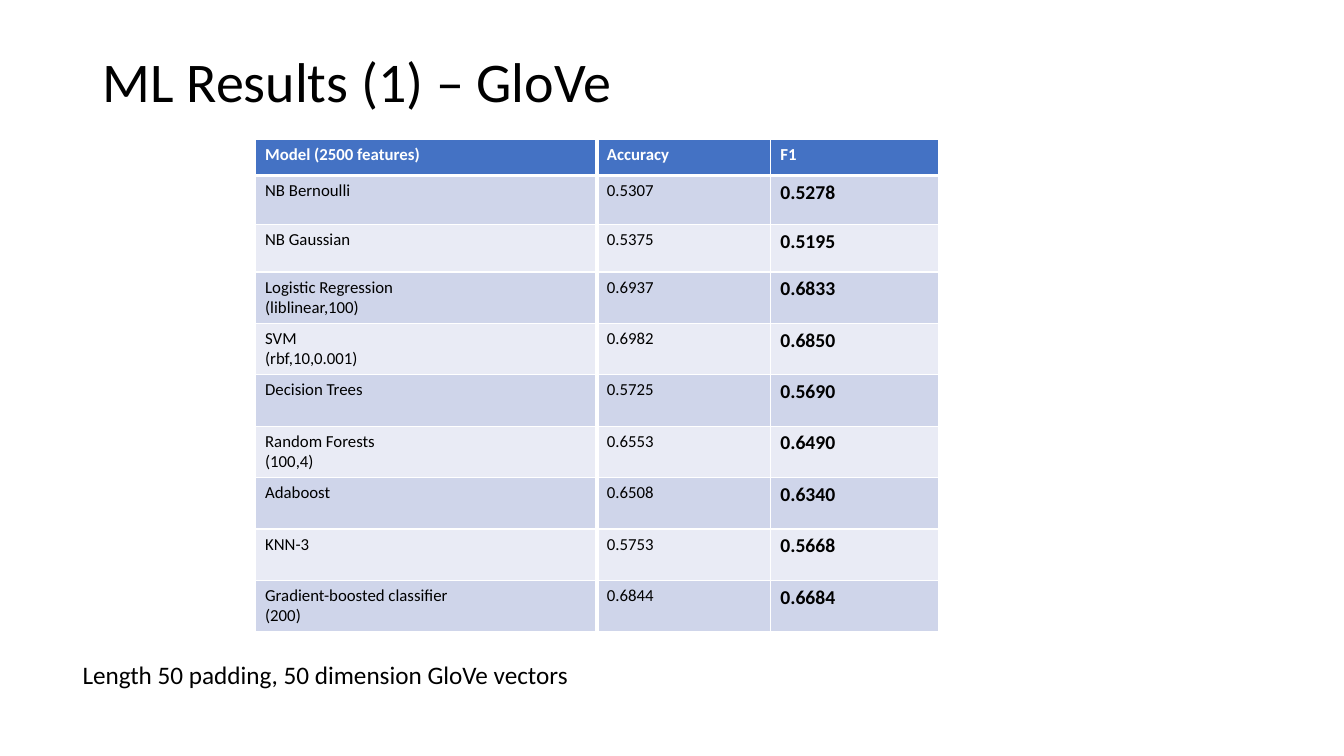
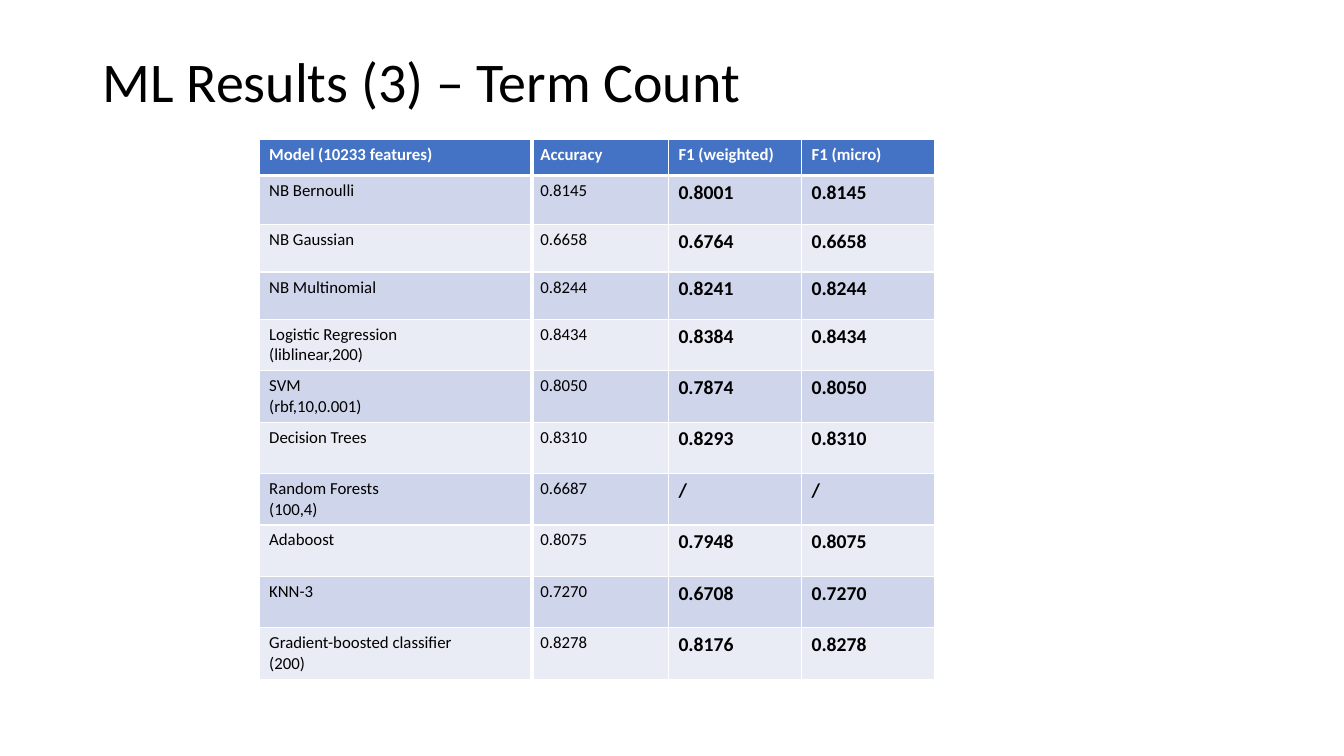
"""Build two slides that tabulate machine learning results."""
import dataclasses

import lxml.etree
import pptx
import pptx.dml.color
import pptx.enum.shapes
import pptx.enum.text
import pptx.oxml.ns
import pptx.util

Inches = pptx.util.Inches
Pt = pptx.util.Pt
RGB = pptx.dml.color.RGBColor.from_string
qn = pptx.oxml.ns.qn


@dataclasses.dataclass(frozen=True)
class Theme:
    font: str = "Calibri"
    text: str = "000000"
    white: str = "FFFFFF"
    header: str = "4472C4"
    bands: tuple = ("CFD5EA", "E9EBF5")
    title_size: int = 40
    note_size: int = 18
    score_size: int = 14
    cell_size: int = 12
    thin: int = 1
    thick: int = 3


theme = Theme()


def write_text(tf, text, size, color=theme.text, bold=False, spacing=None):
    for i, line in enumerate(text.split("\n")):
        p = tf.paragraphs[0] if i == 0 else tf.add_paragraph()
        p.line_spacing = spacing
        r = p.add_run()
        r.text = line
        r.font.name = theme.font
        r.font.size = Pt(size)
        r.font.bold = bold
        r.font.color.rgb = RGB(color)


def set_borders(cell, top, bottom):
    tc_pr = cell._tc.get_or_add_tcPr()
    widths = {"L": theme.thin, "R": theme.thin, "T": top, "B": bottom}
    for side, width in widths.items():
        ln = lxml.etree.SubElement(tc_pr, qn(f"a:ln{side}"), w=str(Pt(width)))
        fill = lxml.etree.SubElement(ln, qn("a:solidFill"))
        lxml.etree.SubElement(fill, qn("a:srgbClr"), val=theme.white)


slides = [
    {
        "title": "ML Results (1) – GloVe",
        "left": 2.53,
        "cols": [3.39, 1.72, 1.67],
        "divider": (5.92, 6.41),
        "note": "Length 50 padding, 50 dimension GloVe vectors",
        "rows": [
            ("Model (2500 features)", "Accuracy", "F1"),
            ("NB Bernoulli", "0.5307", "0.5278"),
            ("NB Gaussian", "0.5375", "0.5195"),
            ("Logistic Regression\n(liblinear,100)", "0.6937", "0.6833"),
            ("SVM\n(rbf,10,0.001)", "0.6982", "0.6850"),
            ("Decision Trees", "0.5725", "0.5690"),
            ("Random Forests\n(100,4)", "0.6553", "0.6490"),
            ("Adaboost", "0.6508", "0.6340"),
            ("KNN-3", "0.5753", "0.5668"),
            ("Gradient-boosted classifier\n(200)", "0.6844", "0.6684"),
        ],
    },
    {
        "title": "ML Results (3) – Term Count",
        "left": 2.57,
        "cols": [2.69, 1.37, 1.32, 1.32],
        "divider": (5.28, 6.88),
        "note": None,
        "rows": [
            ("Model (10233 features)", "Accuracy", "F1 (weighted)", "F1 (micro)"),
            ("NB Bernoulli", "0.8145", "0.8001", "0.8145"),
            ("NB Gaussian", "0.6658", "0.6764", "0.6658"),
            ("NB Multinomial", "0.8244", "0.8241", "0.8244"),
            ("Logistic Regression\n(liblinear,200)", "0.8434", "0.8384", "0.8434"),
            ("SVM\n(rbf,10,0.001)", "0.8050", "0.7874", "0.8050"),
            ("Decision Trees", "0.8310", "0.8293", "0.8310"),
            ("Random Forests\n(100,4)", "0.6687", "/", "/"),
            ("Adaboost", "0.8075", "0.7948", "0.8075"),
            ("KNN-3", "0.7270", "0.6708", "0.7270"),
            ("Gradient-boosted classifier\n(200)", "0.8278", "0.8176", "0.8278"),
        ],
    },
]

prs = pptx.Presentation()
prs.slide_width = Inches(13.33)
prs.slide_height = Inches(7.5)
table_top = 1.38

for content in slides:
    s = prs.slides.add_slide(prs.slide_layouts[6])
    sp = s.shapes.add_textbox(Inches(0.92), Inches(0.11), Inches(11.5), Inches(1.45))
    tf = sp.text_frame
    tf.word_wrap = True
    tf.vertical_anchor = pptx.enum.text.MSO_ANCHOR.MIDDLE
    write_text(tf, content["title"], theme.title_size, spacing=0.9)

    rows, cols = content["rows"], content["cols"]
    heights = [0.36, 0.49] + [0.47] * (len(rows) - 9) + [0.51] * 7
    sp = s.shapes.add_table(
        len(rows), len(cols), Inches(content["left"]), Inches(table_top),
        Inches(sum(cols)), Inches(sum(heights)))
    table = sp.table
    table.horz_banding = False
    for column, width in zip(table.columns, cols):
        column.width = Inches(width)
    for i, values in enumerate(rows):
        table.rows[i].height = Inches(heights[i])
        is_header = i == 0
        for j, value in enumerate(values):
            cell = table.cell(i, j)
            is_score = j >= 2 and not is_header
            set_borders(cell,
                        top=theme.thick if i == 1 else theme.thin,
                        bottom=theme.thick if is_header else theme.thin)
            cell.fill.solid()
            cell.fill.fore_color.rgb = RGB(
                theme.header if is_header else theme.bands[(i - 1) % 2])
            write_text(cell.text_frame, value,
                       theme.score_size if is_score else theme.cell_size,
                       color=theme.white if is_header else theme.text,
                       bold=is_header or is_score)

    if content["note"]:
        sp = s.shapes.add_textbox(Inches(0.72), Inches(6.49), Inches(5.08), Inches(0.4))
        tf = sp.text_frame
        tf.word_wrap = False
        tf.auto_size = pptx.enum.text.MSO_AUTO_SIZE.SHAPE_TO_FIT_TEXT
        write_text(tf, content["note"], theme.note_size)

    x, bottom = content["divider"]
    divider = s.shapes.add_connector(
        pptx.enum.shapes.MSO_CONNECTOR.STRAIGHT,
        Inches(x), Inches(table_top), Inches(x), Inches(bottom))
    divider.line.color.rgb = RGB(theme.white)
    divider.line.width = Pt(theme.thick)
    lxml.etree.SubElement(divider._element.spPr, qn("a:effectLst"))

prs.save("out.pptx")
